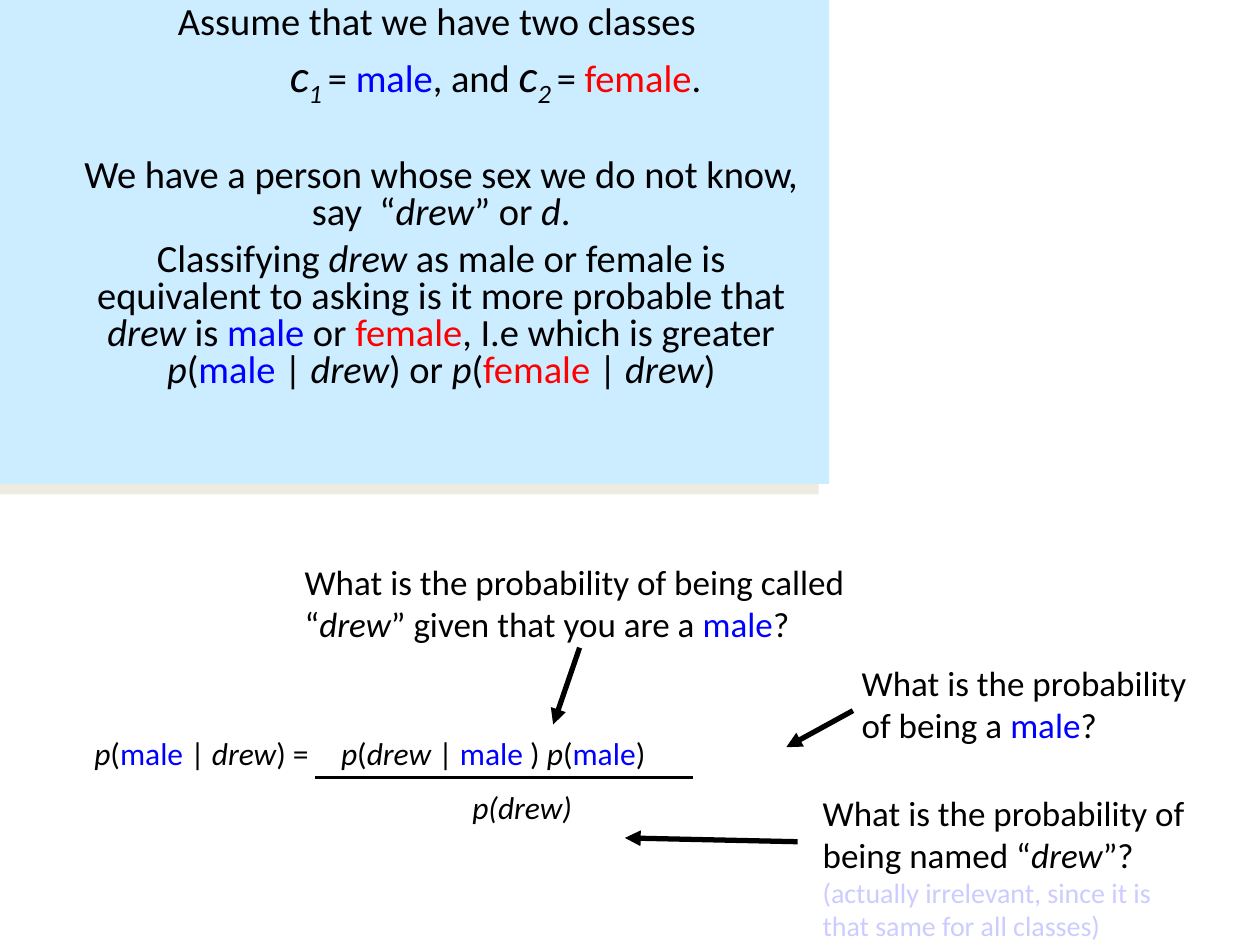
from dataclasses import dataclass

from lxml.etree import SubElement
from pptx import Presentation
from pptx.dml.color import RGBColor
from pptx.enum.shapes import MSO_CONNECTOR, MSO_SHAPE
from pptx.enum.text import PP_ALIGN
from pptx.oxml.ns import qn
from pptx.util import Pt


@dataclass(frozen=True)
class Theme:
    font: str = "Calibri"
    panel: str = "CCECFF"
    shadow: str = "EEECE1"
    text: str = "000000"
    male: str = "0000FF"
    female: str = "FF0000"
    note: str = "CCCCFF"
    body: int = 22
    symbol: int = 26
    question: int = 20
    formula: int = 18
    small: int = 16


T = Theme()
MALE = {"color": T.male}
FEMALE = {"color": T.female}
ITALIC = {"italic": True}
SYMBOL = {"italic": True, "size": T.symbol}
INDEX = {**SYMBOL, "sub": True}
NOTE = {"color": T.note, "size": T.small}


def add_run(p, text, size, color=T.text, italic=False, sub=False):
    r = p.add_run()
    r.text = text
    r.font.name = T.font
    r.font.size = Pt(size)
    r.font.italic = italic
    r.font.color.rgb = RGBColor.from_string(color)
    if sub:
        r._r.get_or_add_rPr().set("baseline", "-25000")


def add_runs(p, runs, size):
    for item in runs:
        text, style = (item, {}) if isinstance(item, str) else item
        add_run(p, text, **{"size": size, **style})


def add_text(s, x, y, w, h):
    tf = s.shapes.add_textbox(Pt(x), Pt(y), Pt(w), Pt(h)).text_frame
    tf.word_wrap = True
    return tf


def add_paragraph(tf, first):
    return tf.paragraphs[0] if first else tf.add_paragraph()


def set_left(p, margin):
    pPr = p._p.get_or_add_pPr()
    pPr.set("marL", str(Pt(margin)))
    pPr.set("indent", "0")


def set_tab(p, pos):
    tabs = SubElement(p._p.get_or_add_pPr(), qn("a:tabLst"))
    SubElement(tabs, qn("a:tab"), pos=str(Pt(pos)), algn="l")


def add_line(s, x1, y1, x2, y2, width, arrow=False):
    c = s.shapes.add_connector(MSO_CONNECTOR.STRAIGHT, Pt(x1), Pt(y1), Pt(x2), Pt(y2))
    c.line.color.rgb = RGBColor.from_string(T.text)
    c.line.width = Pt(width)
    if arrow:
        SubElement(c.line._get_or_add_ln(), qn("a:tailEnd"), type="triangle")
    SubElement(c._element.spPr, qn("a:effectLst"))


def add_panel(s, x, y, w, h):
    sp = s.shapes.add_shape(MSO_SHAPE.RECTANGLE, Pt(x), Pt(y), Pt(w), Pt(h))
    sp.fill.solid()
    sp.fill.fore_color.rgb = RGBColor.from_string(T.panel)
    sp.line.fill.background()
    sp.shadow.inherit = False
    effects = sp._element.spPr.find(qn("a:effectLst"))
    shadow = SubElement(effects, qn("a:outerShdw"), dist=str(Pt(8.5)),
                        dir="8100000", algn="ctr", rotWithShape="0")
    SubElement(shadow, qn("a:srgbClr"), val=T.shadow)


def add_problem(s, x, y, w, h):
    add_panel(s, x, y, w, h)
    tf = add_text(s, x + 12.2, y, w - 20.9, h)
    paragraphs = [
        (27, 0, ["Assume that we have two classes "]),
        (94, 5.5, [("c", SYMBOL), ("1 ", INDEX), "= ", ("male", MALE), ", and ",
                   ("c", SYMBOL), ("2 ", INDEX), "= ", ("female", FEMALE), ". "]),
        (27, 32.5, ["We have a person whose sex we do not know, say  “",
                    ("drew", ITALIC), "” or ", ("d", ITALIC), "."]),
        (27, 5.5, ["Classifying ", ("drew", ITALIC),
                   " as male or female is equivalent to asking is it more probable that ",
                   ("drew", ITALIC), " is ", ("male", MALE), " or ", ("female", FEMALE),
                   ", I.e which is greater ", ("p", ITALIC), "(", ("male ", MALE), "| ",
                   ("drew", ITALIC), ") or ", ("p", ITALIC), "(", ("female ", FEMALE),
                   "| ", ("drew", ITALIC), ")"]),
    ]
    for i, (margin, before, runs) in enumerate(paragraphs):
        p = add_paragraph(tf, i == 0)
        p.alignment = PP_ALIGN.CENTER
        p.line_spacing = 0.8
        if before:
            p.space_before = Pt(before)
        set_left(p, margin)
        add_runs(p, runs, T.body)


def add_formula(s, x, y, w, h):
    tf = add_text(s, x, y, w, h)
    rows = [
        (141, [("p", ITALIC), "(", ("male ", MALE), "| ", ("drew", ITALIC), ") =\t",
               ("p", ITALIC), "(", ("drew ", ITALIC), "| ", ("male ", MALE), ") ",
               ("p", ITALIC), "(", ("male", MALE), ")"]),
        (216, [("\tp(drew)", ITALIC)]),
    ]
    for i, (tab, runs) in enumerate(rows):
        p = add_paragraph(tf, i == 0)
        p.line_spacing = 0.9
        if i:
            p.space_before = Pt(11.2)
        set_tab(p, tab)
        add_runs(p, runs, T.formula)
    add_line(s, x + 133.2, y + 26, x + 349.2, y + 26, 1.75)


def add_question(s, x, y, w, h, runs, start, end):
    tf = add_text(s, x, y, w, h)
    add_runs(tf.paragraphs[0], runs, T.question)
    (x1, y1), (x2, y2) = start, end
    add_line(s, x + x1, y + y1, x + x2, y + y2, 3, arrow=True)


def main():
    prs = Presentation()
    prs.slide_width, prs.slide_height = Pt(720), Pt(540)
    s = prs.slides.add_slide(prs.slide_layouts[6])
    add_problem(s, 0, 0, 473.8, 276.5)
    add_formula(s, 46.8, 418.3, 570.2, 79.9)
    add_question(s, 167, 316.8, 326.2, 55.4,
                 ["What is the probability of being called “", ("drew", ITALIC),
                  "” given that you are a ", ("male", MALE), "?"],
                 (164.2, 53.3), (149.1, 97.2))
    add_question(s, 485.3, 374.4, 202.3, 55.4,
                 ["What is the probability of being a ", ("male", MALE), "?"],
                 (2.1, 31.7), (-36, 52.6))
    add_question(s, 463, 448.6, 230.4, 93.6,
                 ["What is the probability of being named “", ("drew", ITALIC), "”? ",
                  ("(actually irrelevant, since it is that same for all classes)", NOTE)],
                 (-7.2, 32.4), (-105.9, 30.2))
    prs.save("out.pptx")


if __name__ == "__main__":
    main()
